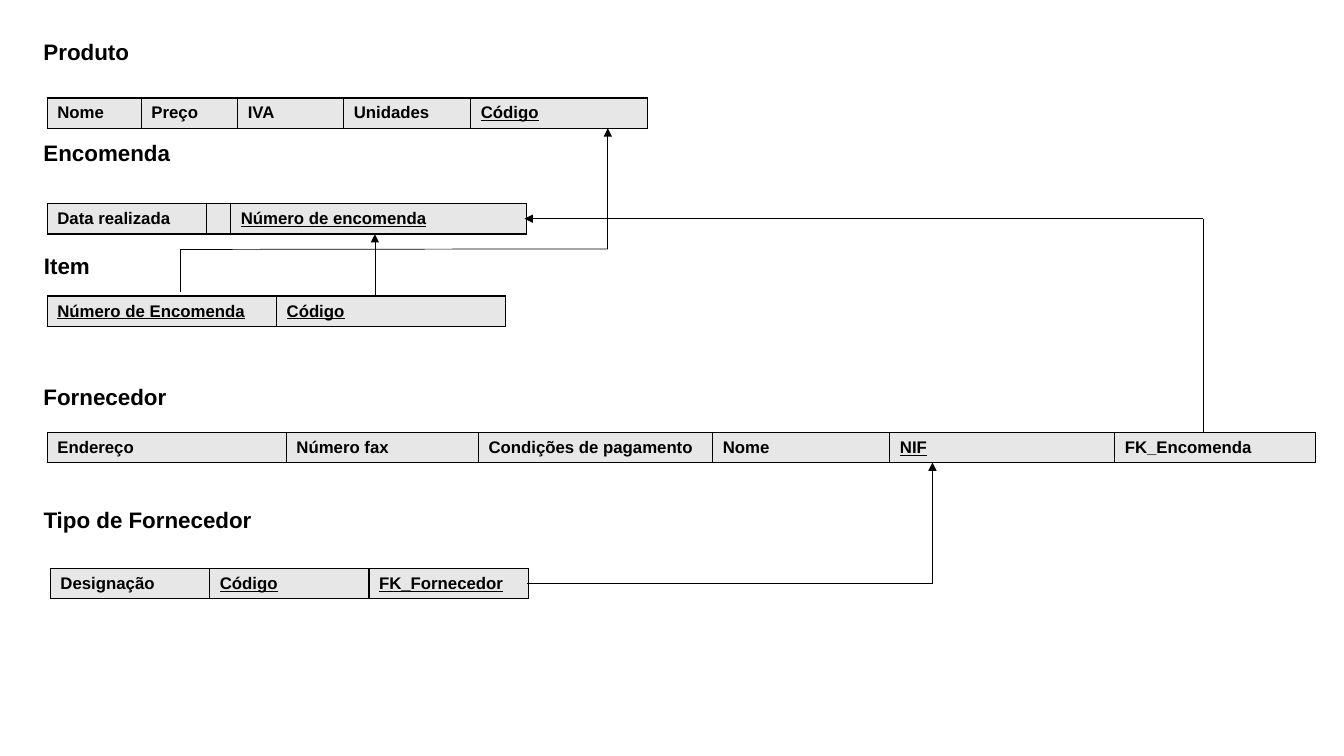
from pptx import Presentation
from pptx.dml.color import RGBColor
from pptx.enum.shapes import MSO_CONNECTOR
from pptx.enum.text import MSO_ANCHOR, MSO_AUTO_SIZE
from pptx.oxml.ns import qn
from pptx.util import Pt
from lxml.etree import SubElement


def color(value):
    """Turn a hex string into a colour."""
    return RGBColor.from_string(value)


class Diagram:
    """Style and current slide of a relational schema."""

    FONT = "Arial"
    INK = "000000"
    CELL = "E7E7E7"
    ROW_HEIGHT = 21.6

    def __init__(self, page):
        """Keep the slide to draw on."""
        self.page = page

    def style(self, para, size, underline=False):
        """Give a paragraph the bold schema font."""
        font = para.font
        font.name, font.size, font.bold = self.FONT, Pt(size), True
        font.underline = underline
        font.color.rgb = color(self.INK)

    def heading(self, text, left, top, width):
        """Write the name of a relation."""
        box = self.page.shapes.add_textbox(Pt(left), Pt(top), Pt(width), Pt(26.6))
        frame = box.text_frame
        frame.word_wrap = True
        frame.auto_size = MSO_AUTO_SIZE.SHAPE_TO_FIT_TEXT
        frame.text = text
        self.style(frame.paragraphs[0], 16)

    def border(self, cell):
        """Draw a thin line on all four sides of a cell."""
        properties = cell._tc.get_or_add_tcPr()
        for side in ("a:lnL", "a:lnR", "a:lnT", "a:lnB"):
            line = SubElement(properties, qn(side), w=str(Pt(1)))
            fill = SubElement(line, qn("a:solidFill"))
            SubElement(fill, qn("a:srgbClr"), val=self.INK)

    def relation(self, left, top, fields):
        """Draw a one-row table from (name, width, is key) fields."""
        total = sum(width for _, width, _ in fields)
        table = self.page.shapes.add_table(
            1, len(fields), Pt(left), Pt(top), Pt(total), Pt(self.ROW_HEIGHT)).table
        table.first_row = table.horz_banding = False
        for index, (name, width, is_key) in enumerate(fields):
            table.columns[index].width = Pt(width)
            cell = table.cell(0, index)
            cell.margin_top = cell.margin_bottom = 0
            cell.vertical_anchor = MSO_ANCHOR.MIDDLE
            cell.text = name
            self.style(cell.text_frame.paragraphs[0], 12, is_key)
            self.border(cell)
            cell.fill.solid()
            cell.fill.fore_color.rgb = color(self.CELL)

    def line(self, start, end, arrow=False):
        """Connect two points, with an arrowhead at the end if asked."""
        connector = self.page.shapes.add_connector(
            MSO_CONNECTOR.STRAIGHT, *(Pt(value) for value in start + end))
        connector.line.width = Pt(0.5)
        connector.line.color.rgb = color(self.INK)
        if arrow:
            SubElement(connector.line._get_or_add_ln(), qn("a:tailEnd"), type="triangle")
        SubElement(connector._element.spPr, qn("a:effectLst"))

    def route(self, *points):
        """Join points by lines, ending in an arrowhead."""
        for index in range(1, len(points)):
            self.line(points[index - 1], points[index], index == len(points) - 1)


deck = Presentation()
deck.slide_width, deck.slide_height = Pt(960), Pt(540)
diagram = Diagram(deck.slides.add_slide(deck.slide_layouts[6]))

HEADINGS = [
    ("Produto", 24, 24, 80),
    ("Encomenda", 24, 96, 117),
    ("Item", 24.3, 176.6, 98),
    ("Fornecedor", 24, 270.3, 117),
    ("Tipo de Fornecedor", 24, 357.8, 215),
]
for heading in HEADINGS:
    diagram.heading(*heading)

RELATIONS = [
    (33.8, 70, [("Nome", 67.2, False), ("Preço", 68.8, False), ("IVA", 75.8, False),
                ("Unidades", 90.7, False), ("Código", 126.2, True)]),
    (33.8, 145.6, [("Data realizada", 113.8, False), ("", 16.8, False),
                   ("Número de encomenda", 211, True)]),
    (33.8, 211.5, [("Número de Encomenda", 163.8, True), ("Código", 163.8, True)]),
    (33.8, 308.8, [("Endereço", 170.8, False), ("Número fax", 137.2, False),
                   ("Condições de pagamento", 167.4, False), ("Nome", 126.5, False),
                   ("NIF", 160.6, True), ("FK_Encomenda", 143.3, False)]),
    (36, 406.1, [("Designação", 113.8, False), ("Código", 113.8, True),
                 ("FK_Fornecedor", 113.8, True)]),
]
for relation in RELATIONS:
    diagram.relation(*relation)

diagram.route((128.8, 208.8), (128.8, 178.2), (434.2, 177.8), (434.2, 91.6))
diagram.route((267.8, 211.5), (267.8, 167.2))
diagram.route((859.6, 308.8), (859.6, 156.2), (374.6, 156.2))
diagram.route((376.6, 416.9), (666, 416.9), (666, 330.4))

deck.save("out.pptx")
